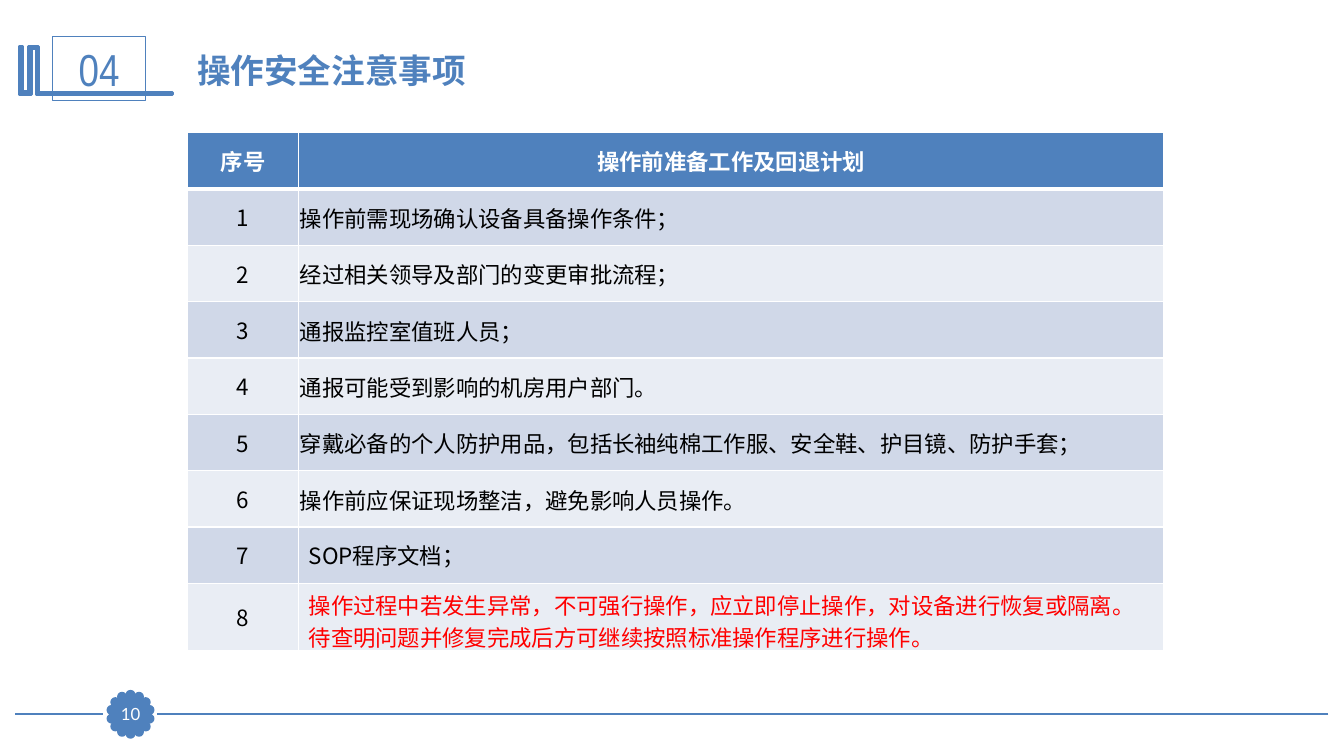
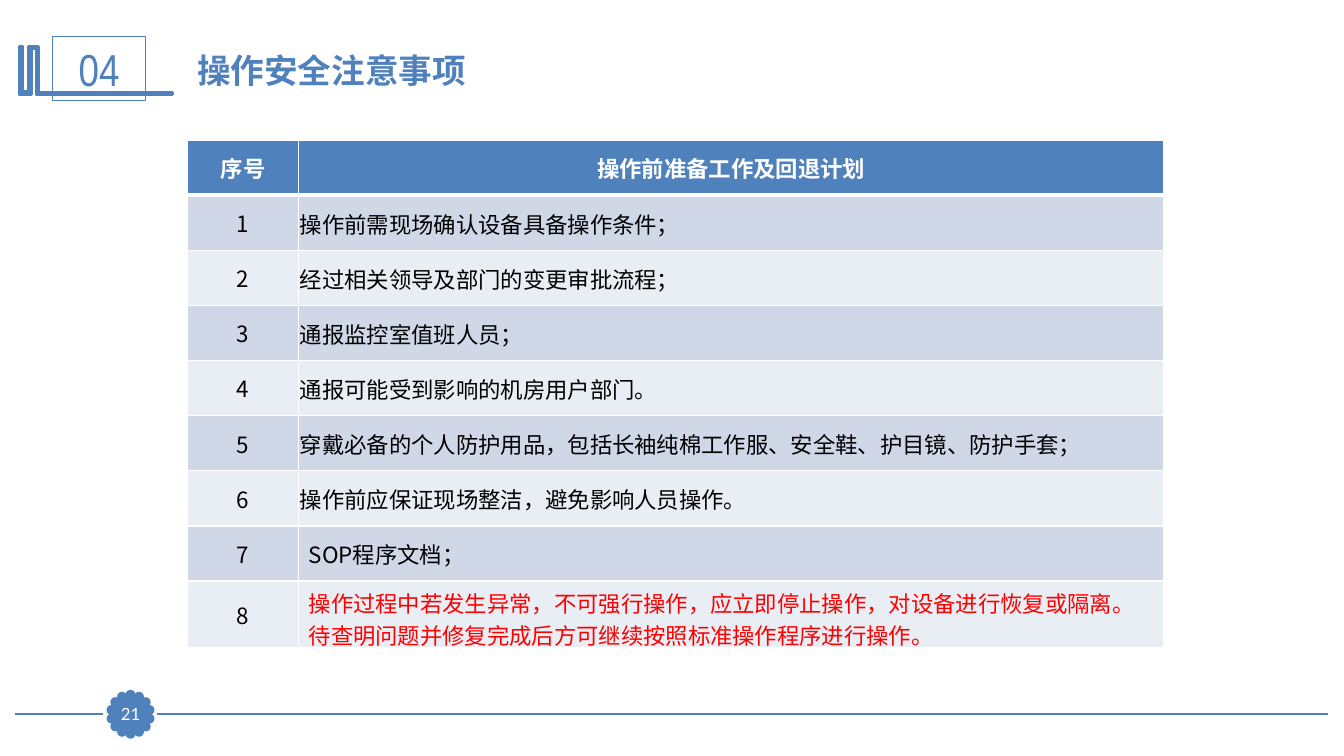
import math

from lxml import etree
from pptx import Presentation
from pptx import util as u
from pptx.dml.color import RGBColor
from pptx.enum import shapes, text
from pptx.oxml import ns

BLUE, WHITE, BLACK, RED = "4F81BD", "FFFFFF", "000000", "FF0000"
BANDS = ("D0D8E8", "E9EDF4")
LATIN, CJK, NARROW = "Lato", "Noto Sans CJK SC", "Arial Narrow"
LEFT, RIGHT, CENTER = 0.38, 33.48, text.PP_ALIGN.CENTER
FOOTER_Y, BADGE_X = 18, 3.29
PETALS, RING_RADIUS, PETAL_SIZE = 14, 0.49, 0.18
CONTENT_LEFT, CONTENT_WIDTH, NUMBER_WIDTH = 4.72, 24.61, 2.81
NORMAL, TIGHT, FULL = (0.25, 0.13, 0.25, 0.13), (0.03, 0.03, 0.03, 0), (0.25, 0.13, 0.25, 0)
BOOK = [
    (0.94, 1.17), (0.97, 1.17), (0.97, 2.34), (4.34, 2.34), (4.34, 2.39), (0.91, 2.39),
    (0.91, 1.22), (0.79, 1.22), (0.79, 2.39), (0.48, 2.39), (0.48, 1.17), (0.58, 1.17),
    (0.58, 2.31), (0.71, 2.31), (0.71, 1.17),
]
HEADERS = ("序号", "操作前准备工作及回退计划")
STEPS = [
    ("操作前需现场确认设备具备操作条件；", BLACK, TIGHT),
    ("经过相关领导及部门的变更审批流程；", BLACK, TIGHT),
    ("通报监控室值班人员；", BLACK, TIGHT),
    ("通报可能受到影响的机房用户部门。", BLACK, TIGHT),
    ("穿戴必备的个人防护用品，包括长袖纯棉工作服、安全鞋、护目镜、防护手套；", BLACK, TIGHT),
    ("操作前应保证现场整洁，避免影响人员操作。", BLACK, TIGHT),
    ("SOP程序文档；", BLACK, NORMAL),
    ("操作过程中若发生异常，不可强行操作，应立即停止操作，对设备进行恢复或隔离。"
     "待查明问题并修复完成后方可继续按照标准操作程序进行操作。", RED, FULL),
]


def color(value):
    return RGBColor.from_string(value)


class Deck:
    """Hold the shared style and the slide being built."""

    def __init__(self):
        self.presentation = Presentation()
        self.presentation.slide_width = u.Cm(33.87)
        self.presentation.slide_height = u.Cm(19.05)
        self.slide = None

    def new_slide(self, section, title, page):
        self.slide = self.presentation.slides.add_slide(self.presentation.slide_layouts[6])
        self.line(RIGHT, 3.96)
        self.line(2.59, LEFT)
        self.petals()
        self.outline(BOOK)
        frame = self.box(1.32, 0.91, 2.36, 1.63)
        self.add_text(frame.text_frame, section, 32, NARROW, BLUE, align=CENTER)
        badge = self.box(BADGE_X - 0.41, FOOTER_Y - 0.4, 0.82, 0.8, BLUE)
        self.margins(badge.text_frame, (0, 0, 0, 0))
        self.add_text(badge.text_frame, page, 12, LATIN, WHITE, align=CENTER)
        heading = self.slide.shapes.add_textbox(
            u.Cm(CONTENT_LEFT), u.Cm(1.12), u.Cm(CONTENT_WIDTH), u.Cm(1.28))
        heading.text_frame.word_wrap = True
        self.add_text(heading.text_frame, title, 24, LATIN, BLUE, bold=True)

    def line(self, start, end):
        connector = self.slide.shapes.add_connector(
            shapes.MSO_CONNECTOR.STRAIGHT, u.Cm(start), u.Cm(FOOTER_Y), u.Cm(end), u.Cm(FOOTER_Y))
        connector.line.color.rgb = color(BLUE)
        connector.line.width = u.Pt(1.25)
        properties = connector._element.find(ns.qn("p:spPr"))
        etree.SubElement(properties, ns.qn("a:effectLst"))

    def paint(self, shape, fill, width):
        shape.shadow.inherit = False
        if fill:
            shape.fill.solid()
            shape.fill.fore_color.rgb = color(fill)
        else:
            shape.fill.background()
        shape.line.color.rgb = color(BLUE)
        shape.line.width = u.Pt(width)

    def box(self, left, top, width, height, fill=None, line_width=0.75,
            kind=shapes.MSO_SHAPE.RECTANGLE):
        shape = self.slide.shapes.add_shape(
            kind, u.Cm(left), u.Cm(top), u.Cm(width), u.Cm(height))
        self.paint(shape, fill, line_width)
        return shape

    def petals(self):
        for index in range(PETALS):
            angle = math.tau * index / PETALS
            left = BADGE_X + RING_RADIUS * math.sin(angle) - PETAL_SIZE / 2
            top = FOOTER_Y - RING_RADIUS * math.cos(angle) - PETAL_SIZE / 2
            self.box(left, top, PETAL_SIZE, PETAL_SIZE, BLUE, 2, shapes.MSO_SHAPE.OVAL)

    def outline(self, points):
        start, *rest = [(u.Cm(x), u.Cm(y)) for x, y in points]
        builder = self.slide.shapes.build_freeform(*start)
        builder.add_line_segments(rest, close=True)
        self.paint(builder.convert_to_shape(), BLUE, 2)

    def margins(self, holder, values):
        holder.margin_left, holder.margin_top, holder.margin_right, holder.margin_bottom = map(
            u.Cm, values)

    def add_text(self, frame, content, size, font, ink, bold=False, align=text.PP_ALIGN.LEFT):
        frame.vertical_anchor = text.MSO_ANCHOR.MIDDLE
        paragraph = frame.paragraphs[0]
        paragraph.alignment = align
        run = paragraph.add_run()
        run.text = content
        run.font.size = u.Pt(size)
        run.font.name = font
        run.font.bold = bold
        run.font.color.rgb = color(ink)
        east_asian = etree.SubElement(run._r.get_or_add_rPr(), ns.qn("a:ea"))
        east_asian.set("typeface", CJK)

    def borders(self, cell, top, bottom):
        properties = cell._tc.get_or_add_tcPr()
        for side, width in (("L", 1), ("R", 1), ("T", top), ("B", bottom)):
            edge = etree.SubElement(properties, ns.qn("a:ln" + side), w=str(u.Pt(width)))
            fill = etree.SubElement(edge, ns.qn("a:solidFill"))
            etree.SubElement(fill, ns.qn("a:srgbClr"), val=WHITE)

    def cell(self, cell, content, fill, ink, font, inset, align, bold, top, bottom):
        self.borders(cell, top, bottom)
        cell.fill.solid()
        cell.fill.fore_color.rgb = color(fill)
        self.margins(cell, inset)
        cell.vertical_anchor = text.MSO_ANCHOR.MIDDLE
        self.add_text(cell.text_frame, content, 16, font, ink, bold, align)

    def table(self, top, row_height, last_height):
        count = len(STEPS) + 1
        height = row_height * len(STEPS) + last_height
        table = self.slide.shapes.add_table(
            count, 2, u.Cm(CONTENT_LEFT), u.Cm(top), u.Cm(CONTENT_WIDTH), u.Cm(height)).table
        table.horz_banding = False
        table.columns[0].width = u.Cm(NUMBER_WIDTH)
        table.columns[1].width = u.Cm(CONTENT_WIDTH - NUMBER_WIDTH)
        for index, row in enumerate(table.rows):
            row.height = u.Cm(last_height if index == count - 1 else row_height)
        for column, header in enumerate(HEADERS):
            self.cell(table.cell(0, column), header, BLUE, WHITE, LATIN, NORMAL, CENTER, True, 1, 3)
        for index, (step, ink, inset) in enumerate(STEPS, 1):
            fill = BANDS[(index - 1) % 2]
            edge = 3 if index == 1 else 1
            self.cell(table.cell(index, 0), str(index), fill, BLACK, CJK, NORMAL,
                      CENTER, False, edge, 1)
            self.cell(table.cell(index, 1), step, fill, ink, CJK, inset,
                      text.PP_ALIGN.LEFT, False, edge, 1)


def main():
    deck = Deck()
    for page, top, row_height, last_height in (("10", 3.34, 1.42, 1.7), ("21", 3.53, 1.39, 1.68)):
        deck.new_slide("04", "操作安全注意事项", page)
        deck.table(top, row_height, last_height)
    deck.presentation.save("out.pptx")


if __name__ == "__main__":
    main()
